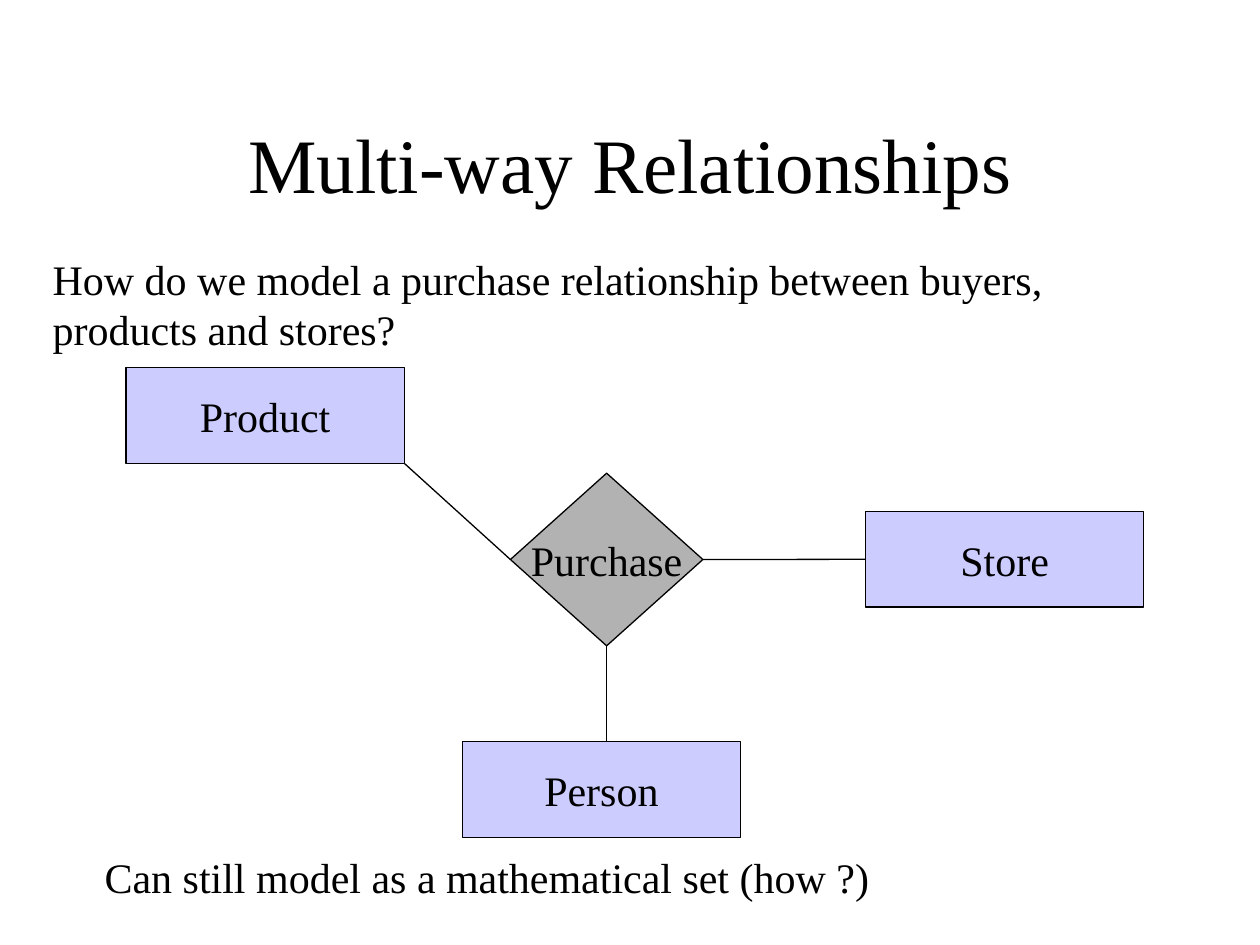
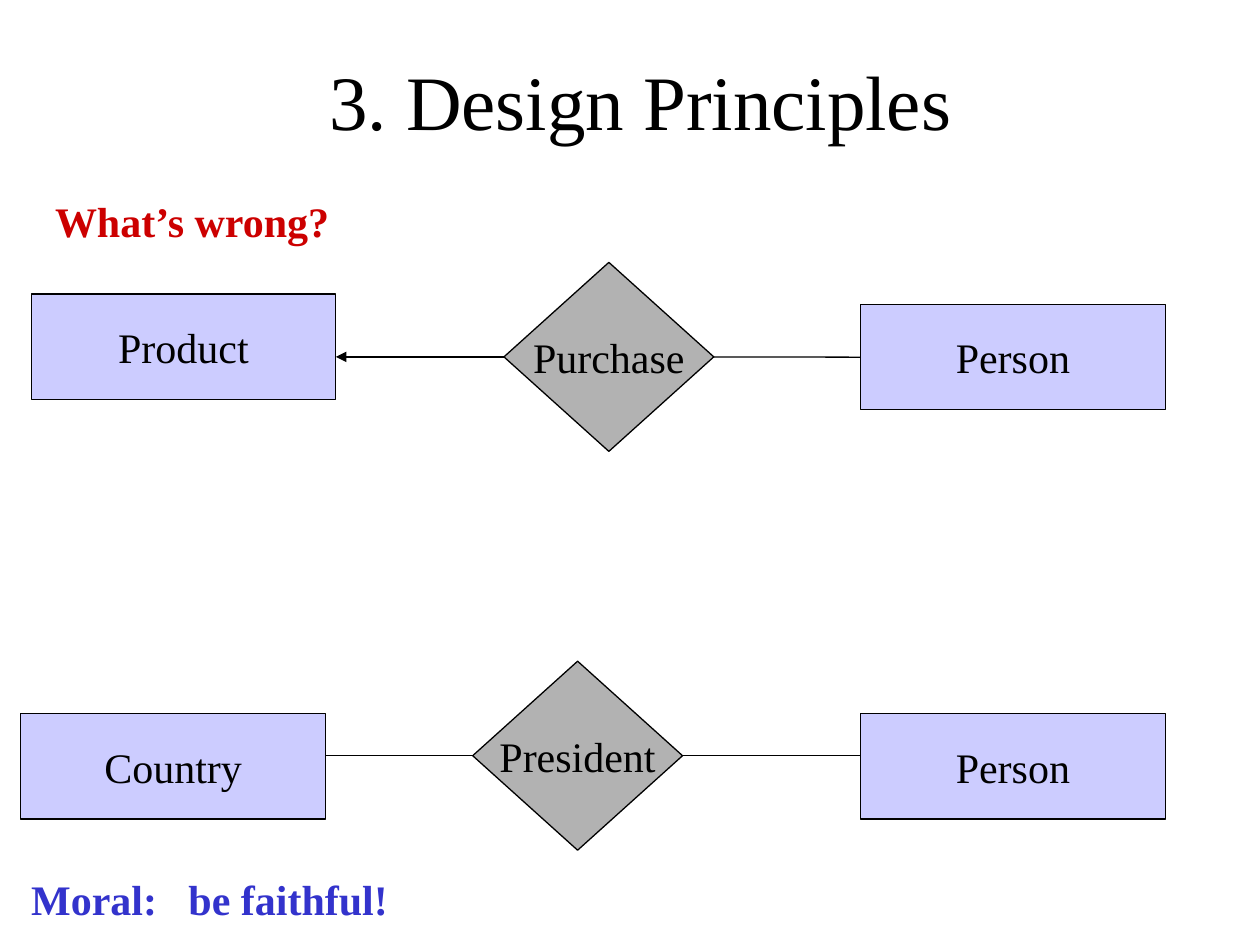
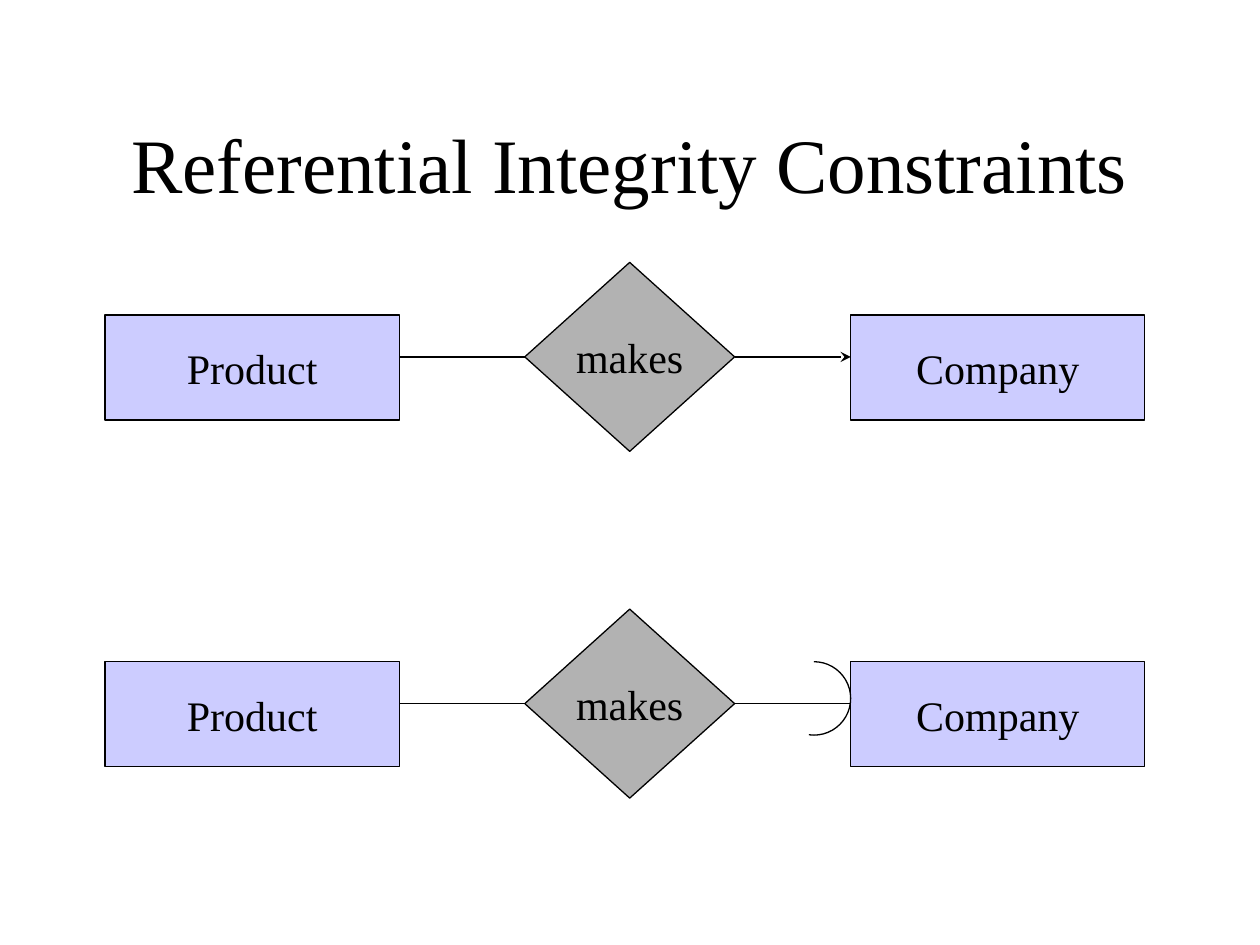
from lxml.etree import SubElement
from pptx import Presentation
from pptx.dml.color import RGBColor
from pptx.enum.shapes import MSO_CONNECTOR, MSO_SHAPE
from pptx.enum.text import MSO_ANCHOR, PP_ALIGN
from pptx.oxml.ns import qn
from pptx.util import Cm, Pt

HUES = {"ink": "000000", "entity": "CCCCFF", "relation": "B2B2B2",
        "alert": "CC0000", "moral": "3333CC", "page": "FFFFFF"}
FONT = "Times New Roman"
TOP, LEFT, BOTTOM, RIGHT = range(4)
RHOMB = (4.23, 3.81)


def hue(name):
    """Return a palette colour."""
    return RGBColor.from_string(HUES[name])


def write(shape, text, size=24, color="ink", bold=False, align=PP_ALIGN.LEFT):
    """Fill a shape with text in the shared type style."""
    frame = shape.text_frame
    frame.text = text
    frame.margin_left = frame.margin_right = Cm(0.25)
    frame.margin_top = frame.margin_bottom = Cm(0.13)
    for para in frame.paragraphs:
        para.alignment = align
        for run in para.runs:
            run.font.name = FONT
            run.font.size = Pt(size)
            run.font.bold = bold
            run.font.color.rgb = hue(color)
    return frame


def start(deck, title, left=1.91, top=1.69):
    """Add a slide with its title."""
    slide = deck.slides.add_slide(deck.slide_layouts[5])
    slide.background.fill.solid()
    slide.background.fill.fore_color.rgb = hue("page")
    head = slide.shapes.title
    head.left, head.top, head.width, head.height = map(Cm, (left, top, 21.59, 3.18))
    frame = write(head, title, 44, align=PP_ALIGN.CENTER)
    frame.vertical_anchor = MSO_ANCHOR.MIDDLE
    return slide


def note(slide, box, text, color="ink", bold=False):
    """Add a line of free text."""
    area = slide.shapes.add_textbox(*map(Cm, box))
    write(area, text, color=color, bold=bold).word_wrap = False
    return area


def node(slide, kind, fill, box, text):
    """Add an outlined and labelled shape."""
    shape = slide.shapes.add_shape(kind, *map(Cm, box))
    shape.shadow.inherit = False
    shape.fill.solid()
    shape.fill.fore_color.rgb = hue(fill)
    shape.line.color.rgb = hue("ink")
    shape.line.width = Pt(0.75)
    frame = write(shape, text, align=PP_ALIGN.CENTER)
    frame.vertical_anchor = MSO_ANCHOR.MIDDLE
    frame.word_wrap = False
    return shape


def entity(slide, box, text):
    """Add an entity rectangle."""
    return node(slide, MSO_SHAPE.RECTANGLE, "entity", box, text)


def relation(slide, box, text):
    """Add a relationship diamond."""
    return node(slide, MSO_SHAPE.DIAMOND, "relation", box, text)


def middle(shape, side):
    """Return the middle point of one side of a shape."""
    x, y, w, h = shape.left, shape.top, shape.width, shape.height
    return ((x + w // 2, y), (x, y + h // 2),
            (x + w // 2, y + h), (x + w, y + h // 2))[side]


def link(slide, rhomb, side, box, end=None, tip=None):
    """Run a line from a diamond side straight to a box, or to a given end."""
    begin = middle(rhomb, side)
    across = side in (LEFT, RIGHT)
    face = (side + 2) % 4
    mid = middle(box, face)
    goal = end or ((mid[0], begin[1]) if across else (begin[0], mid[1]))
    wire = slide.shapes.add_connector(MSO_CONNECTOR.STRAIGHT, *begin, *goal)
    wire.begin_connect(rhomb, side)
    if max(abs(a - b) for a, b in zip(goal, mid)) < Cm(0.05):
        wire.end_connect(box, face)
    wire.line.color.rgb = hue("ink")
    wire.line.width = Pt(0.75)
    props = wire.element.spPr
    if tip:
        SubElement(props.find(qn("a:ln")), qn("a:tailEnd"), type=tip)
    SubElement(props, qn("a:effectLst"))


def chain(slide, box, names, wide, gap, drops=(1.06, 1.06), tips=(None, None)):
    """Add entity, relationship and entity side by side within a box."""
    x, y, width = box
    first, verb, last = names
    rhomb = relation(slide, (x + gap, y, *RHOMB), verb)
    spots = (x, x + width - wide)
    for side, spot, drop, name, tip in zip((LEFT, RIGHT), spots, drops,
                                           (first, last), tips):
        part = entity(slide, (spot, y + drop, wide, 2.12), name)
        link(slide, rhomb, side, part, tip=tip)


def star(slide, box):
    """Add the three-way purchase diagram within a box."""
    x, y = box
    size = (5.61, 1.93)
    good = entity(slide, (x, y, *size), "Product")
    buyer = entity(slide, (x + 6.78, y + 7.54, *size), "Person")
    store = entity(slide, (x + 14.91, y + 2.9, *size), "Store")
    rhomb = relation(slide, (x + 7.75, y + 2.13, 3.88, 3.48), "Purchase")
    corner = (good.left + good.width, good.top + good.height)
    link(slide, rhomb, LEFT, good, end=corner)
    link(slide, rhomb, RIGHT, store)
    link(slide, rhomb, BOTTOM, buyer)


def hook(slide, box):
    """Add the rounded end that marks referential integrity."""
    arc = slide.shapes.add_shape(MSO_SHAPE.ARC, *map(Cm, box))
    arc.shadow.inherit = False
    arc.adjustments[0] = 270 * 0.6
    arc.adjustments[1] = 98 * 0.6
    arc.fill.background()
    arc.line.color.rgb = hue("ink")
    arc.line.width = Pt(0.75)


def ways(deck):
    """Build the slide on multi-way relationships."""
    slide = start(deck, "Multi-way Relationships")
    note(slide, (0.81, 4.98, 20.47, 2.29),
         "How do we model a purchase relationship between buyers,\n"
         "products and stores?")
    star(slide, (2.54, 7.41))
    note(slide, (1.86, 17.04, 15.93, 1.27),
         "Can still model as a mathematical set (how ?)")


def rules(deck):
    """Build the slide on design principles."""
    slide = start(deck, "3. Design Principles", 2.12, 0.42)
    chain(slide, (0.63, 5.29, 22.86), ("Product", "Purchase", "Person"),
          6.14, 9.53, drops=(0.64, 0.85), tips=("triangle", None))
    note(slide, (0.86, 3.81, 6.07, 1.27), "What’s wrong?", "alert", True)
    chain(slide, (0.42, 13.33, 23.07), ("Country", "President", "Person"),
          6.14, 9.11)
    moral = note(slide, (0.38, 17.48, 7.7, 1.27), "Moral:\tbe faithful!",
                 "moral", True)
    props = moral.text_frame.paragraphs[0]._p.get_or_add_pPr()
    stops = SubElement(props, qn("a:tabLst"))
    SubElement(stops, qn("a:tab"), pos=str(Cm(3.17)), algn="l")


def limits(deck):
    """Build the slide on referential integrity."""
    slide = start(deck, "Referential Integrity Constraints")
    for y, tip in ((5.29, "stealth"), (12.28, None)):
        chain(slide, (2.12, y, 20.96), ("Product", "makes", "Company"),
              5.93, 8.46, tips=(None, tip))
    hook(slide, (15.67, 13.34, 1.48, 1.48))


def main():
    """Build and save the deck."""
    deck = Presentation()
    deck.slide_width, deck.slide_height = Cm(25.4), Cm(19.05)
    for build in (ways, rules, limits):
        build(deck)
    deck.save("out.pptx")


if __name__ == "__main__":
    main()
